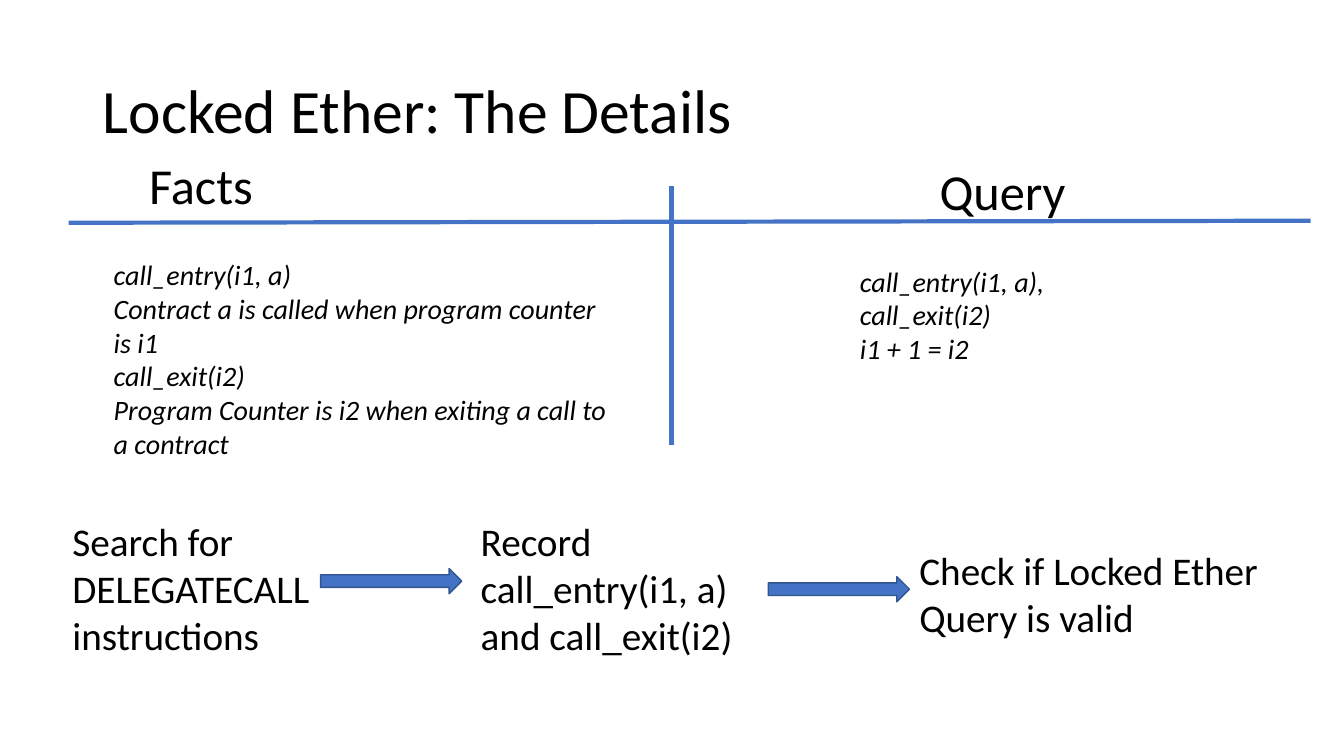
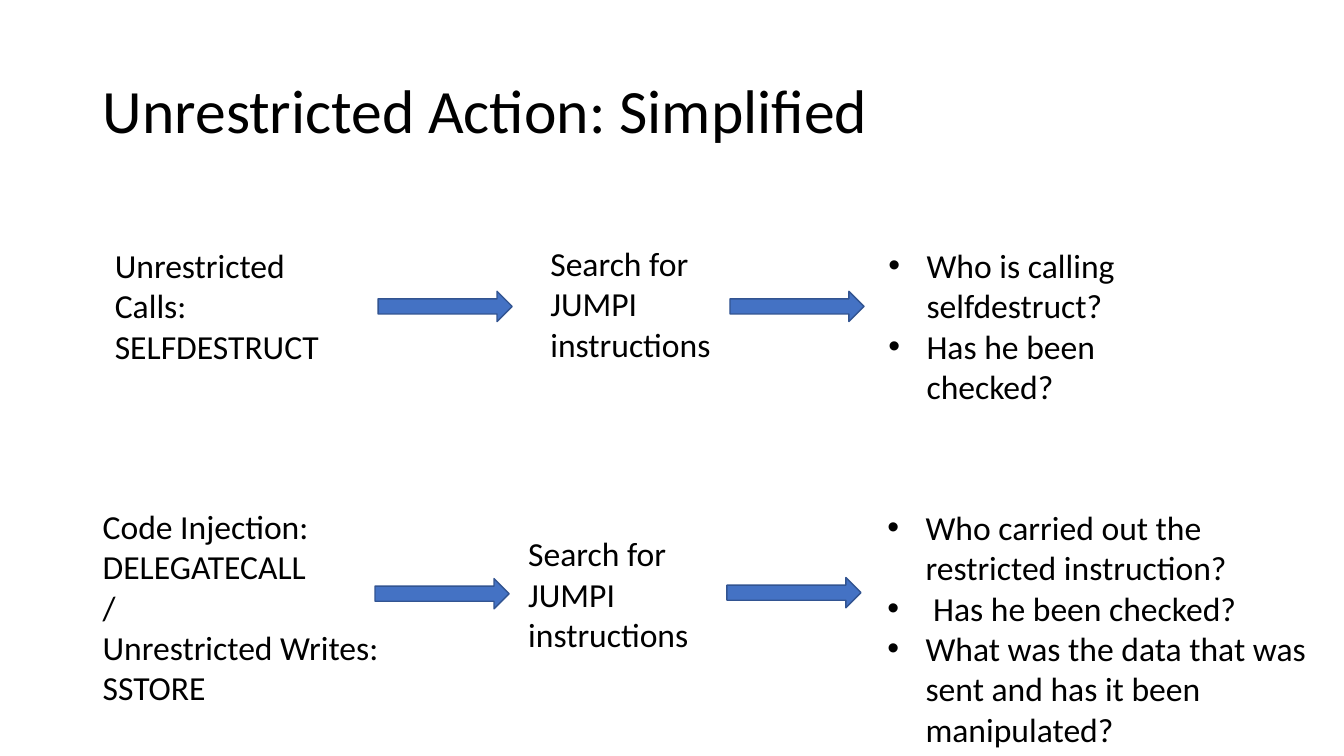
from dataclasses import dataclass

from lxml import etree
from pptx import Presentation
from pptx.dml.color import RGBColor
from pptx.enum.shapes import MSO_CONNECTOR, MSO_SHAPE
from pptx.enum.text import MSO_ANCHOR, MSO_AUTO_SIZE, PP_ALIGN
from pptx.oxml.ns import qn
from pptx.util import Inches, Pt

LEFT = PP_ALIGN.LEFT
TOP, MIDDLE = MSO_ANCHOR.TOP, MSO_ANCHOR.MIDDLE
NO_FIT = MSO_AUTO_SIZE.NONE
ARROW = MSO_SHAPE.RIGHT_ARROW
STRAIGHT = MSO_CONNECTOR.STRAIGHT

# Shared look
BLACK, BLUE, NAVY = "000000", "4472C4", "325491"
FACE = "Calibri"
TITLE_BOX = (0.92, 0.4, 11.5, 1.45)
FRAME = {"word_wrap": True, "auto_size": NO_FIT}
PARA = {"alignment": LEFT, "space_before": Pt(0), "space_after": Pt(0)}
INDENT = Inches(0.38)
TITLE_ONLY, TWO_LISTS = 5, 3

Box = tuple[float, float, float, float]


@dataclass
class Note:
    box: Box
    lines: list[str]
    size: int
    slant: bool = False


@dataclass
class Rule:
    start: tuple[float, float]
    end: tuple[float, float]


def color(code: str) -> RGBColor:
    return RGBColor.from_string(code)


def assign(item, values: dict) -> None:
    for name, value in values.items():
        setattr(item, name, value)


def place(shape, box: Box) -> None:
    names = ("left", "top", "width", "height")
    assign(shape, {name: Inches(n) for name, n in zip(names, box)})


def bullet(para) -> None:
    props = para._p.get_or_add_pPr()
    props.set("marL", str(INDENT))
    props.set("indent", str(-INDENT))
    etree.SubElement(props, qn("a:buFont")).set("typeface", "Arial")
    etree.SubElement(props, qn("a:buChar")).set("char", "•")


def write(shape, note: Note, anchor=TOP, space: float = 1.0,
          dots: bool = False) -> None:
    frame = shape.text_frame
    frame.text = "\n".join(note.lines)
    assign(frame, FRAME | {"vertical_anchor": anchor})
    for para in frame.paragraphs:
        assign(para, PARA | {"line_spacing": space})
        if dots:
            bullet(para)
        assign(para.font, {"name": FACE, "size": Pt(note.size),
                           "italic": note.slant})
        para.font.color.rgb = color(BLACK)


def add_page(deck, kind: int, title: str):
    page = deck.slides.add_slide(deck.slide_layouts[kind])
    head = page.shapes.title
    place(head, TITLE_BOX)
    write(head, Note(TITLE_BOX, [title], 44), MIDDLE, 0.9)
    return page


def add_note(page, note: Note) -> None:
    box = page.shapes.add_textbox(*(Inches(n) for n in note.box))
    write(box, note)


def add_list(holder, note: Note) -> None:
    place(holder, note.box)
    write(holder, note, dots=True)


def add_arrow(page, box: Box) -> None:
    arrow = page.shapes.add_shape(ARROW, *(Inches(n) for n in box))
    arrow.shadow.inherit = False
    arrow.fill.solid()
    arrow.fill.fore_color.rgb = color(BLUE)
    arrow.line.color.rgb = color(NAVY)
    arrow.line.width = Pt(1)


def add_rule(page, rule: Rule) -> None:
    ends = (Inches(n) for n in rule.start + rule.end)
    line = page.shapes.add_connector(STRAIGHT, *ends)
    line.line.color.rgb = color(BLUE)
    line.line.width = Pt(3)
    etree.SubElement(line._element.spPr, qn("a:effectLst"))


# Locked Ether: table of facts and query above a three-step flow
RULES = [Rule((0.68, 2.21), (13, 2.19)), Rule((6.66, 1.85), (6.66, 4.41))]
DETAILS = [
    Note((1.38, 1.48, 2.21, 0.71), ["Facts"], 36),
    Note((9.22, 1.54, 2.21, 0.71), ["Query"], 36),
    Note((1.03, 2.51, 5.14, 2.12), [
        "call_entry(i1, a)",
        "Contract a is called when program counter is i1",
        "call_exit(i2)",
        "Program Counter is i2 when exiting a call to a contract",
    ], 20, True),
    Note((8.43, 2.57, 2.81, 1.11), [
        "call_entry(i1, a),", "call_exit(i2)", "i1 + 1 = i2",
    ], 20, True),
    Note((0.62, 5.08, 2.56, 1.51),
         ["Search for DELEGATECALL instructions"], 28),
    Note((4.67, 5.08, 2.86, 1.51),
         ["Record call_entry(i1, a) and call_exit(i2)"], 28),
    Note((9.02, 5.37, 3.95, 1.04),
         ["Check if Locked Ether Query is valid"], 28),
]
STEPS = [(3.18, 5.64), (7.62, 5.72)]

# Unrestricted Action: two flows, each ending in a list of questions
SEARCH = ["Search for JUMPI instructions"]
CAUSES = [
    Note((1.04, 2.38, 2.35, 1.31), ["Unrestricted Calls: SELFDESTRUCT"], 24),
    Note((5.36, 2.36, 2.35, 1.31), SEARCH, 24),
    Note((0.92, 4.97, 3.8, 2.12), [
        "Code Injection: DELEGATECALL", "/", "Unrestricted Writes: SSTORE",
    ], 24),
    Note((5.14, 5.24, 2.35, 1.31), SEARCH, 24),
]
CHECKS = [
    Note((8.71, 2.38, 2.85, 1.72),
         ["Who is calling selfdestruct?", "Has he been checked?"], 24),
    Note((8.7, 4.98, 4.64, 2.52), [
        "Who carried out the restricted instruction?",
        " Has he been checked?",
        "What was the data that was sent and has it been manipulated?",
    ], 24),
]
LINKS = [(3.75, 2.89), (7.24, 2.89), (3.72, 5.74), (7.21, 5.73)]


def draw_details(deck) -> None:
    page = add_page(deck, TITLE_ONLY, "Locked Ether: The Details")
    for rule in RULES:
        add_rule(page, rule)
    for note in DETAILS:
        add_note(page, note)
    for x, y in STEPS:
        add_arrow(page, (x, y, 1.4, 0.25))


def draw_action(deck) -> None:
    page = add_page(deck, TWO_LISTS, "Unrestricted Action: Simplified")
    for note in CAUSES:
        add_note(page, note)
    for index, note in enumerate(CHECKS, 1):
        add_list(page.placeholders[index], note)
    for x, y in LINKS:
        add_arrow(page, (x, y, 1.33, 0.3))


def main() -> None:
    deck = Presentation()
    deck.slide_width, deck.slide_height = Inches(13.33), Inches(7.5)
    draw_details(deck)
    draw_action(deck)
    deck.save("out.pptx")


if __name__ == "__main__":
    main()
